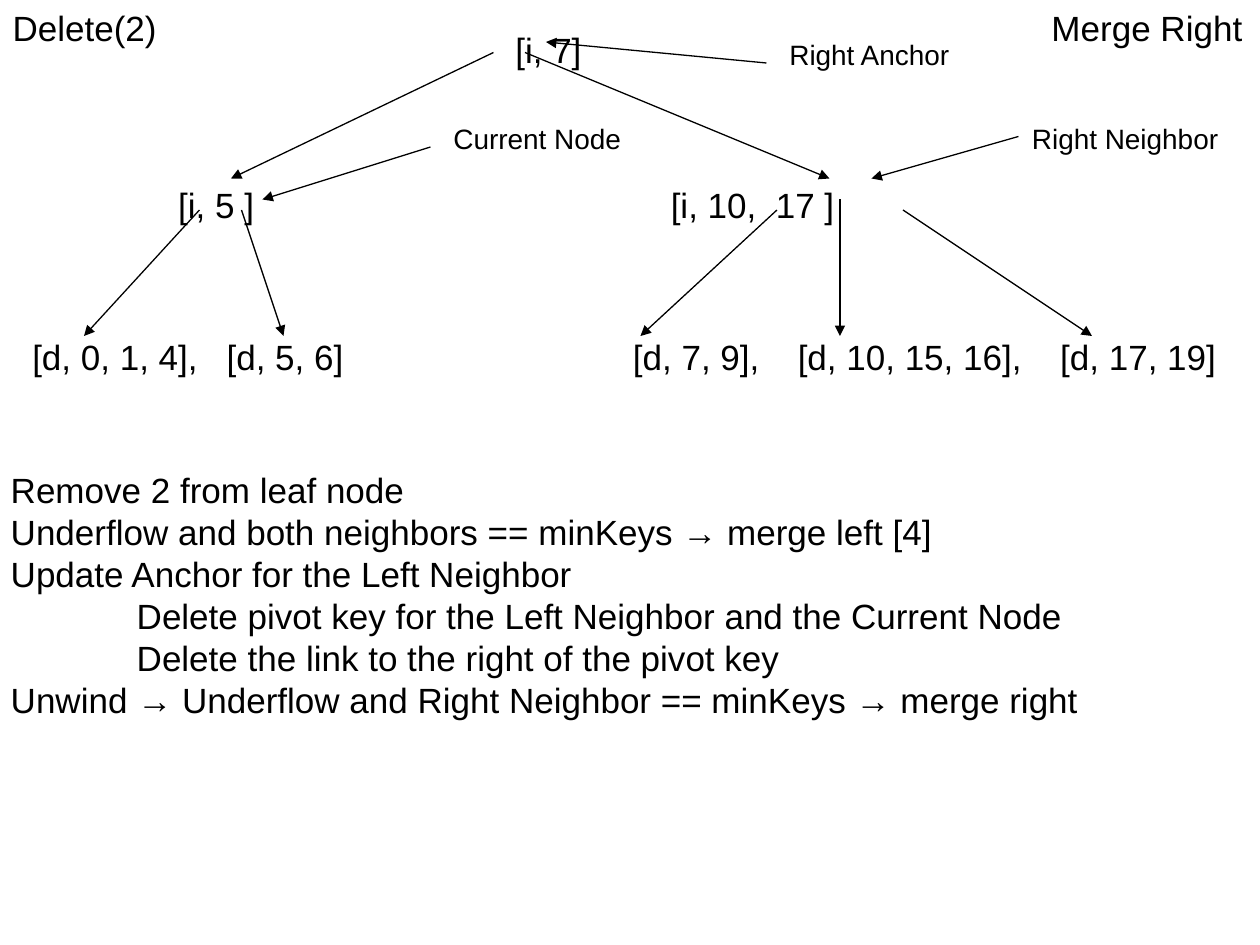
from lxml.etree import SubElement
from pptx import Presentation
from pptx.dml.color import RGBColor
from pptx.enum.shapes import MSO_CONNECTOR
from pptx.enum.text import MSO_ANCHOR, MSO_AUTO_SIZE, PP_ALIGN
from pptx.oxml.ns import qn
from pptx.util import Inches, Pt

BLACK = RGBColor(0, 0, 0)
WHITE = RGBColor(255, 255, 255)
FONT = "Arial"
UNIT = Inches(1) / 12
LABEL_HEIGHT = 5.28

NODE_ROWS = [
    (2.1, [("[i, 7]", 45.9, 10)]),
    (16.9, [("[i, 5 ]", 13.8, 11), ("[i, 10,  17 ]", 60.7, 20)]),
    (31.4, [("[d, 0, 1, 4],", -0.1, 19.5), ("[d, 5, 6]", 18.4, 15),
            ("[d, 7, 9],", 57.1, 16), ("[d, 10, 15, 16],", 72.8, 25),
            ("[d, 17, 19]", 97.8, 19)]),
]
LINKS = [
    (45, 5, 20, 17), (48, 5, 77, 17),
    (17, 20, 6, 32), (21, 20, 25, 32),
    (72, 20, 59, 32), (78, 19, 78, 32), (84, 20, 102, 32),
]
ANNOTATIONS = [
    ("Current Node", (40, 11, 20, 4.44), (39, 14, 23, 19)),
    ("Right Neighbor", (95.1, 11, 22, 4.44), (95, 13, 81, 17)),
    ("Right Anchor", (72, 3, 20, 4.44), (71, 6, 50, 4)),
]
STEPS = [
    ("Remove 2 from leaf node", 0),
    ("Underflow and both neighbors == minKeys → merge left [4]", 0),
    ("Update Anchor for the Left Neighbor", 0),
    ("Delete pivot key for the Left Neighbor and the Current Node", 1),
    ("Delete the link to the right of the pivot key", 1),
    ("Unwind → Underflow and Right Neighbor == minKeys → merge right", 0),
]


def grid(*values):
    """Convert grid columns or rows to slide lengths."""
    return [round(value * UNIT) for value in values]


def place(shape, box):
    """Move a shape to a box given in grid units."""
    shape.left, shape.top, shape.width, shape.height = grid(*box)


def format_frame(shape):
    """Set the margins, anchor and wrapping of a text shape."""
    frame = shape.text_frame
    frame.margin_left = frame.margin_right = Inches(0.1)
    frame.margin_top = frame.margin_bottom = Inches(0.05)
    frame.vertical_anchor = MSO_ANCHOR.TOP
    frame.word_wrap = True
    frame.auto_size = MSO_AUTO_SIZE.NONE
    return frame


def write(paragraph, text, size=20, indent=0, alignment=PP_ALIGN.LEFT):
    """Fill a paragraph with formatted text."""
    properties = paragraph._p.get_or_add_pPr()
    properties.set("marL", str(Inches(indent)))
    properties.set("indent", "0")
    SubElement(properties, qn("a:buNone"))
    paragraph.alignment = alignment
    paragraph.space_before = Pt(0)
    paragraph.line_spacing = 1.0
    run = paragraph.add_run()
    run.text = text
    run.font.name = FONT
    run.font.size = Pt(size)
    run.font.color.rgb = BLACK


def add_label(slide, text, box, **text_format):
    """Add a one-line label."""
    label = slide.shapes.add_textbox(*grid(*box))
    write(format_frame(label).paragraphs[0], text, **text_format)


def add_arrow(slide, left, top, ends):
    """Add an arrow whose ends are relative to a corner."""
    start_x, start_y, end_x, end_y = ends
    arrow = slide.shapes.add_connector(
        MSO_CONNECTOR.STRAIGHT,
        *grid(left + start_x, top + start_y, left + end_x, top + end_y))
    arrow.line.color.rgb = BLACK
    arrow.line.width = Pt(0.75)
    SubElement(arrow.line._get_or_add_ln(), qn("a:tailEnd"), type="triangle")
    SubElement(arrow._element.spPr, qn("a:effectLst"))


def add_header(slide, box):
    """Put the operation at the left and the case at the right."""
    left, top, width, height = box
    title = slide.shapes.title
    place(title, (left, top, 20, height))
    write(format_frame(title).paragraphs[0], "Delete(2)")
    add_label(slide, "Merge Right", (left + width - 24, top, 24, height),
              alignment=PP_ALIGN.RIGHT)


def add_tree(slide, left, top):
    """Draw the rows of nodes, their links and the annotations."""
    for row, nodes in NODE_ROWS:
        for text, column, width in nodes:
            add_label(slide, text, (left + column, top + row, width, LABEL_HEIGHT))
    for ends in LINKS:
        add_arrow(slide, left, top, ends)
    for text, (column, row, width, height), ends in ANNOTATIONS:
        add_label(slide, text, (left + column, top + row, width, height), size=16)
        add_arrow(slide, left, top, ends)


def add_steps(slide, box):
    """List the steps of the deletion in the body placeholder."""
    body = slide.placeholders[1]
    place(body, box)
    frame = format_frame(body)
    for index, (text, level) in enumerate(STEPS):
        paragraph = frame.add_paragraph() if index else frame.paragraphs[0]
        write(paragraph, text, indent=level)


def main():
    """Build and save the presentation."""
    presentation = Presentation()
    presentation.slide_width, presentation.slide_height = Inches(10), Inches(7.5)
    slide = presentation.slides.add_slide(presentation.slide_layouts[1])
    slide.background.fill.solid()
    slide.background.fill.fore_color.rgb = WHITE
    add_tree(slide, 2, 0)
    add_header(slide, (0, 0, 119.52, LABEL_HEIGHT))
    add_steps(slide, (-0.18, 44, 106, 25.2))
    presentation.save("out.pptx")


if __name__ == "__main__":
    main()
